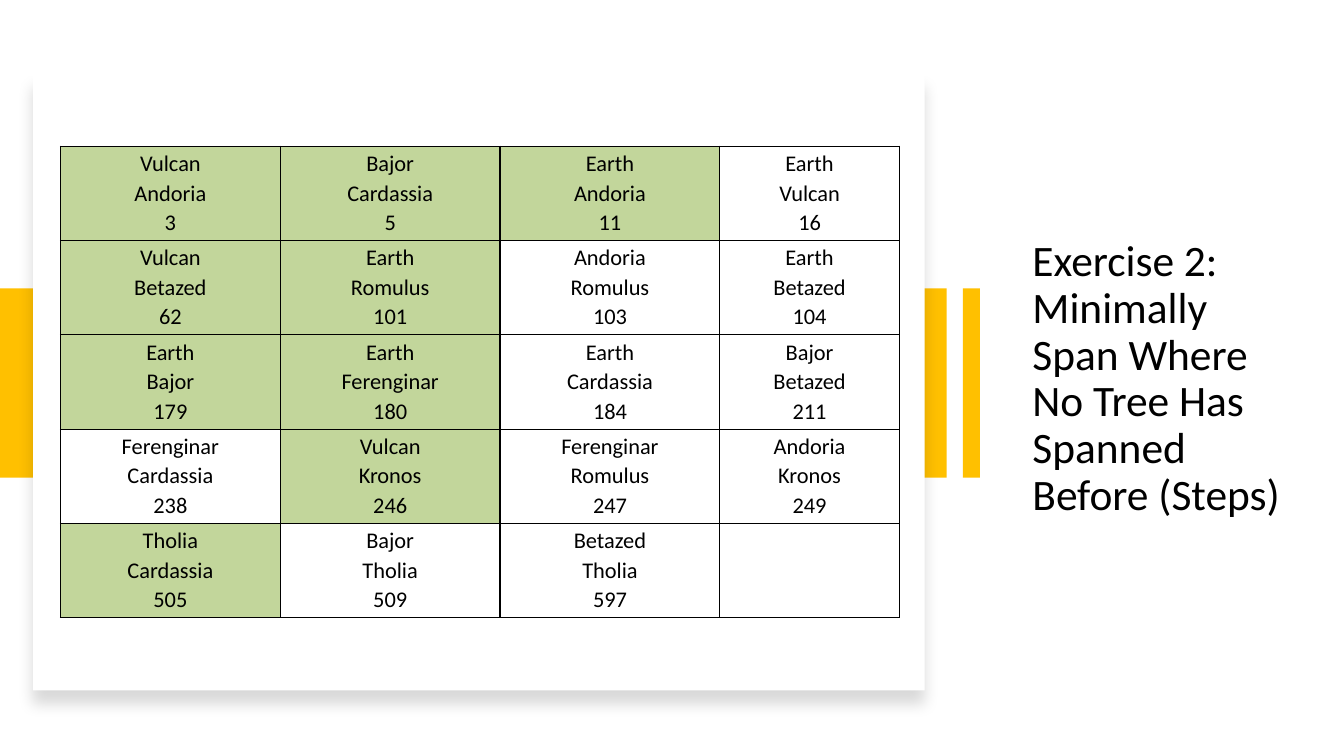
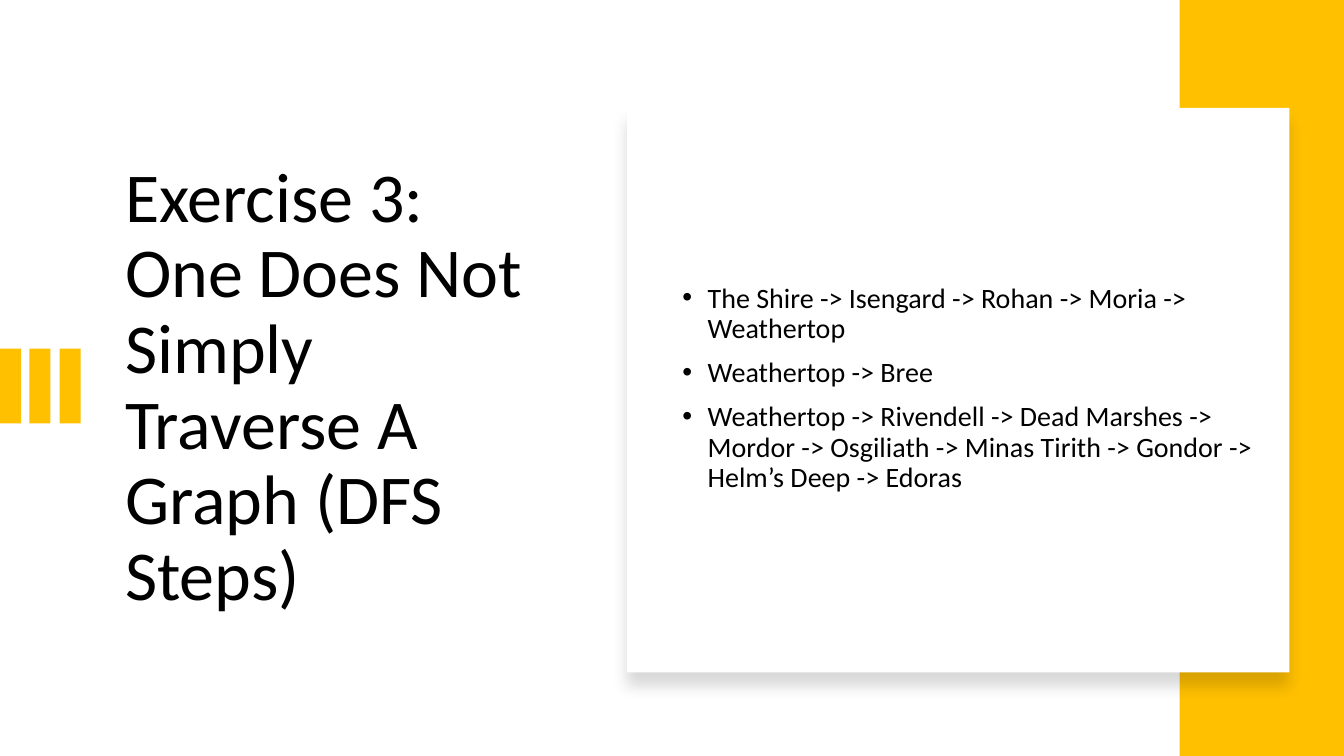
from lxml.etree import SubElement
from pptx import Presentation
from pptx.dml.color import RGBColor
from pptx.enum.shapes import MSO_SHAPE
from pptx.enum.text import MSO_ANCHOR, MSO_AUTO_SIZE, PP_ALIGN
from pptx.oxml.ns import qn
from pptx.util import Inches, Pt

COLORS = {"band": "FFC000", "card": "FFFFFF", "text": "000000", "chosen": "C2D69B"}
FONT = "Calibri"


def write(frame, lines, size, align=PP_ALIGN.LEFT, line_spacing=None, before=0, bullet=None):
    frame.word_wrap = True
    frame.vertical_anchor = MSO_ANCHOR.MIDDLE
    for index, line in enumerate(lines):
        para = frame.paragraphs[0] if index == 0 else frame.add_paragraph()
        para.alignment = align
        para.space_before = Pt(before)
        if line_spacing:
            para.line_spacing = line_spacing
        if bullet:
            properties = para._p.get_or_add_pPr()
            properties.set("marL", str(Inches(0.25)))
            properties.set("indent", str(-Inches(0.25)))
            SubElement(properties, qn("a:buFont"), typeface="Arial")
            SubElement(properties, qn("a:buChar"), char=bullet)
        span = para.add_run()
        span.text = line
        span.font.size = Pt(size)
        span.font.name = FONT
        span.font.color.rgb = RGBColor.from_string(COLORS["text"])


def add_block(shapes, left, top, width, height, color="band", shadow=False):
    block = shapes.add_shape(
        MSO_SHAPE.RECTANGLE, Inches(left), Inches(top), Inches(width), Inches(height))
    block.fill.solid()
    block.fill.fore_color.rgb = RGBColor.from_string(COLORS[color])
    block.line.fill.background()
    block.shadow.inherit = False
    if shadow:
        effects = block._element.spPr.find(qn("a:effectLst"))
        outer = SubElement(effects, qn("a:outerShdw"), blurRad=str(Pt(11)),
                           dist=str(Pt(10)), dir="5400000", algn="t", rotWithShape="0")
        shade = SubElement(outer, qn("a:srgbClr"), val=COLORS["text"])
        SubElement(shade, qn("a:alpha"), val="15000")


deck = Presentation()
deck.slide_width = Inches(13.33)
deck.slide_height = Inches(7.5)

titles = [
    ("Exercise 2: Minimally Span Where No Tree Has Spanned Before (Steps)",
     31, (10.14, 2.21, 2.7, 3.11)),
    ("Exercise 3: One Does Not Simply Traverse A Graph (DFS Steps)",
     50, (1.14, 1.46, 4.26, 4.79)),
]
pages = []
for text, size, place in titles:
    page = deck.slides.add_slide(deck.slide_layouts[5])
    title = page.shapes.title
    title.left, title.top, title.width, title.height = map(Inches, place)
    title.text_frame.auto_size = MSO_AUTO_SIZE.NONE
    write(title.text_frame, [text], size, line_spacing=0.9)
    pages.append(page)
tree_page, search_page = pages

add_block(tree_page.shapes, 0, 2.86, 9.39, 1.88)
add_block(tree_page.shapes, 0.33, 0.73, 8.84, 6.12, color="card", shadow=True)
add_block(tree_page.shapes, 9.55, 2.86, 0.17, 1.88)

edges = [
    ("Vulcan", "Andoria", 3), ("Bajor", "Cardassia", 5),
    ("Earth", "Andoria", 11), ("Earth", "Vulcan", 16),
    ("Vulcan", "Betazed", 62), ("Earth", "Romulus", 101),
    ("Andoria", "Romulus", 103), ("Earth", "Betazed", 104),
    ("Earth", "Bajor", 179), ("Earth", "Ferenginar", 180),
    ("Earth", "Cardassia", 184), ("Bajor", "Betazed", 211),
    ("Ferenginar", "Cardassia", 238), ("Vulcan", "Kronos", 246),
    ("Ferenginar", "Romulus", 247), ("Andoria", "Kronos", 249),
    ("Tholia", "Cardassia", 505), ("Bajor", "Tholia", 509),
    ("Betazed", "Tholia", 597), (),
]
chosen_weights = {3, 5, 11, 62, 101, 179, 180, 246, 505}
column_widths = [2.18, 2.18, 2.18, 1.78]
row_count = len(edges) // len(column_widths)

table = tree_page.shapes.add_table(
    row_count, len(column_widths),
    Inches(0.6), Inches(1.45), Inches(8.32), Inches(4.68)).table
table.first_row = False
table.horz_banding = False
for column, width in zip(table.columns, column_widths):
    column.width = Inches(width)

for cell, edge in zip(table.iter_cells(), edges):
    cell.margin_left = cell.margin_right = Inches(0.11)
    cell.margin_top = cell.margin_bottom = 0
    for side in ("lnL", "lnR", "lnT", "lnB"):
        border = SubElement(cell._tc.get_or_add_tcPr(), qn("a:" + side), w=str(Pt(1)))
        paint = SubElement(border, qn("a:solidFill"))
        SubElement(paint, qn("a:srgbClr"), val=COLORS["text"])
    if edge and edge[-1] in chosen_weights:
        cell.fill.solid()
        cell.fill.fore_color.rgb = RGBColor.from_string(COLORS["chosen"])
    else:
        cell.fill.background()
    cell.vertical_anchor = MSO_ANCHOR.MIDDLE
    write(cell.text_frame, [str(part) for part in edge], 16,
          align=PP_ALIGN.CENTER, before=1.6)
    cell.vertical_anchor = MSO_ANCHOR.MIDDLE

stripes = search_page.shapes.add_group_shape()
for left in (0, 0.29, 0.59):
    add_block(stripes.shapes, left, 3.46, 0.21, 0.74)
add_block(search_page.shapes, 11.7, 0, 1.63, 7.5)
add_block(search_page.shapes, 6.22, 1.07, 6.57, 5.6, color="card", shadow=True)

paths = [
    "The Shire -> Isengard -> Rohan -> Moria -> Weathertop",
    "Weathertop -> Bree",
    "Weathertop -> Rivendell -> Dead Marshes -> Mordor -> Osgiliath -> "
    "Minas Tirith -> Gondor -> Helm’s Deep -> Edoras",
]
paths_box = search_page.shapes.add_textbox(
    Inches(6.67), Inches(1.46), Inches(5.95), Inches(4.79))
write(paths_box.text_frame, paths, 20, line_spacing=0.9, before=10, bullet="•")

deck.save("out.pptx")
